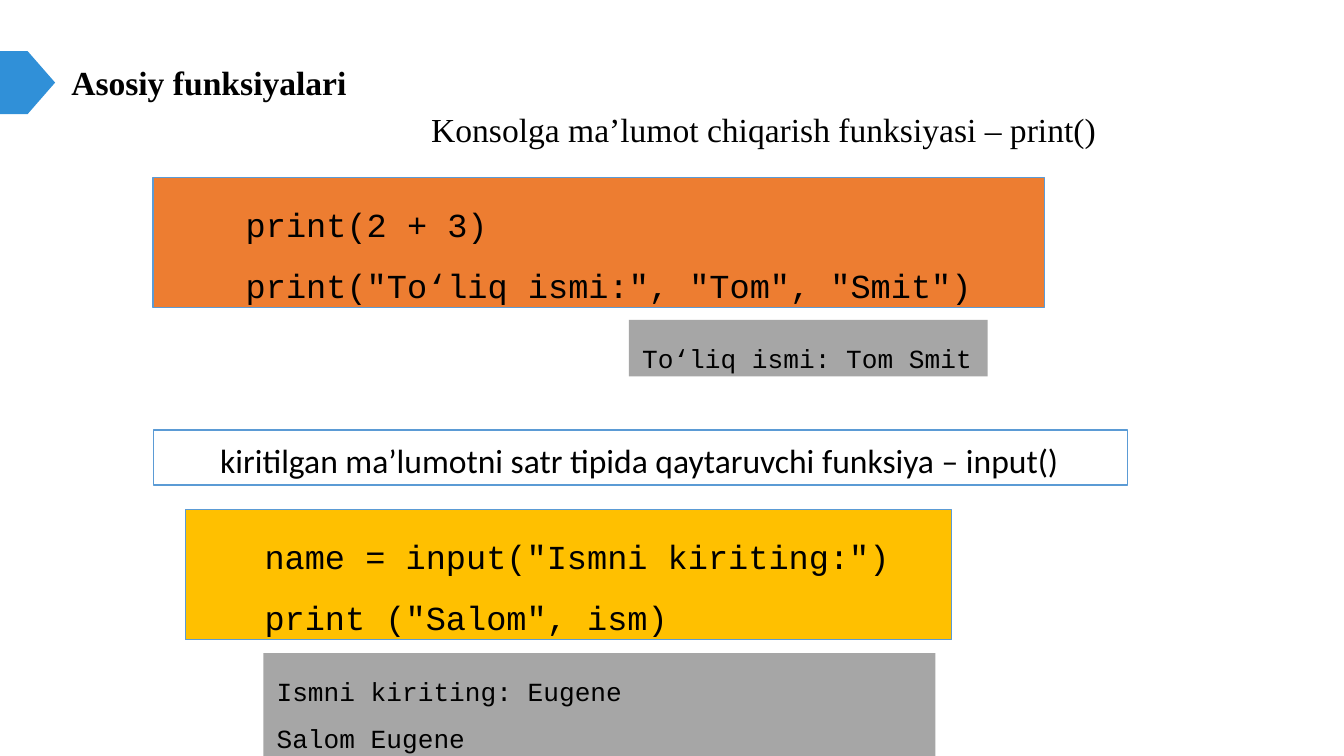
import pptx
import pptx.dml.color
import pptx.enum.shapes
import pptx.enum.text
import pptx.util

Inches, Pt = pptx.util.Inches, pptx.util.Pt
ALIGN = pptx.enum.text.PP_ALIGN
SHAPES = pptx.enum.shapes.MSO_SHAPE
SLIDE_WIDTH = Inches(10)
SLIDE_HEIGHT = SLIDE_WIDTH * 9 // 16

# Content
HEADING = "Asosiy funksiyalari"
SERIF, SANS, MONO = "Times New Roman", "Calibri", "Courier New"
BORDER = "5B9BD5"
OUTPUT = dict(fill="A6A6A6", font=MONO, size=14, spacing=1.5)
CODE = dict(line=BORDER, font=MONO, spacing=1.5)
BOXES = [
    dict(at=(1.14, 3.2, 7.25, 0.41), line=BORDER, font=SANS, spacing=1.07,
         indent=0.4, align=ALIGN.JUSTIFY,
         lines=["kiritilgan ma’lumotni satr tipida qaytaruvchi funksiya – input()"]),
    dict(CODE, at=(1.14, 1.32, 6.63, 0.97), fill="ED7D31", indent=0.59,
         lines=["print(2 + 3)", 'print("To‘liq ismi:", "Tom", "Smit")']),
    dict(CODE, at=(1.38, 3.79, 5.7, 0.97), fill="FFC000", indent=0.49,
         lines=['name = input("Ismni kiriting:")', 'print ("Salom", ism)']),
    dict(at=(3.11, 0.76, 5.2, 0.4), font=SERIF, wrap=False,
         lines=["Konsolga ma’lumot chiqarish funksiyasi – print()"]),
    dict(OUTPUT, at=(4.68, 2.38, 2.67, 0.42), wrap=False,
         lines=["To‘liq ismi: Tom Smit"]),
    dict(OUTPUT, at=(1.96, 4.86, 5, 0.78),
         lines=["Ismni kiriting: Eugene", "Salom Eugene"]),
]


def paint(color_format, value):
    color_format.rgb = pptx.dml.color.RGBColor.from_string(value)


def style_shape(shape, fill=None, line=None):
    shape.shadow.inherit = False
    if fill:
        shape.fill.solid()
        paint(shape.fill.fore_color, fill)
    else:
        shape.fill.background()
    if line:
        paint(shape.line.color, line)
        shape.line.width = Pt(0.75)
    else:
        shape.line.fill.background()


def write(frame, lines, font, size=18, bold=False, align=ALIGN.LEFT,
          spacing=1.0, indent=0, wrap=True):
    frame.text = "\n".join(lines)
    frame.word_wrap = wrap
    frame.auto_size = pptx.enum.text.MSO_AUTO_SIZE.SHAPE_TO_FIT_TEXT
    frame.vertical_anchor = pptx.enum.text.MSO_ANCHOR.TOP
    for paragraph in frame.paragraphs:
        paragraph.alignment = align
        paragraph.line_spacing = spacing
        if indent:
            paragraph._p.get_or_add_pPr().set("indent", str(Inches(indent)))
        paragraph.font.name = font
        paragraph.font.size = Pt(size)
        paragraph.font.bold = bold
        paint(paragraph.font.color, "000000")


def add_box(slide, at, fill=None, line=None, **text):
    place = [Inches(value) for value in at]
    if fill or line:
        box = slide.shapes.add_shape(SHAPES.RECTANGLE, *place)
        style_shape(box, fill, line)
    else:
        box = slide.shapes.add_textbox(*place)
    write(box.text_frame, **text)


def main():
    deck = pptx.Presentation()
    deck.slide_width, deck.slide_height = SLIDE_WIDTH, SLIDE_HEIGHT
    slide = deck.slides.add_slide(deck.slide_layouts.get_by_name("Title Only"))

    # Heading with its marker
    heading = slide.shapes.title
    heading.left, heading.top = Inches(0.42), Inches(0.41)
    heading.width, heading.height = Inches(2.27), Inches(0.4)
    write(heading.text_frame, [HEADING], SERIF, bold=True,
          align=ALIGN.CENTER, wrap=False)
    marker = slide.shapes.add_shape(
        SHAPES.PENTAGON, 0, Inches(0.38), Inches(0.41), Inches(0.47))
    style_shape(marker, "3090D8")

    # Descriptions, code and console output
    for box in BOXES:
        add_box(slide, **box)

    deck.save("out.pptx")


if __name__ == "__main__":
    main()
